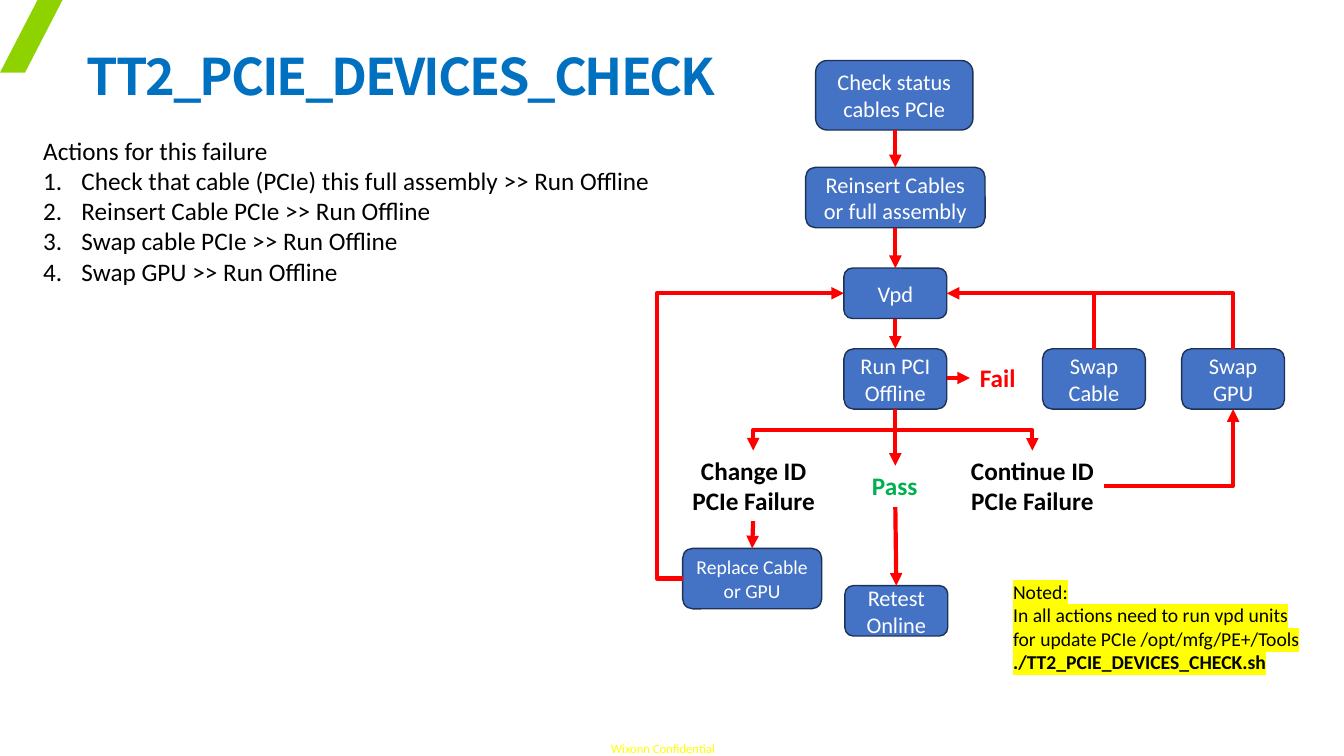
from lxml import etree
from pptx import Presentation
from pptx.dml.color import RGBColor
from pptx.enum.shapes import MSO_CONNECTOR, MSO_SHAPE
from pptx.enum.text import MSO_ANCHOR, PP_ALIGN
from pptx.oxml.ns import qn
from pptx.util import Pt

PX = 9144  # EMU per px, 100 px to the inch
STRAIGHT, ELBOW = MSO_CONNECTOR.STRAIGHT, MSO_CONNECTOR.ELBOW
ROUNDED, PARALLELOGRAM = MSO_SHAPE.ROUNDED_RECTANGLE, MSO_SHAPE.PARALLELOGRAM
LEFT, CENTER = PP_ALIGN.LEFT, PP_ALIGN.CENTER
MIDDLE = MSO_ANCHOR.MIDDLE
TITLE_ONLY = 5
BODY_FONT, TITLE_FONT = "Calibri", "Noto Sans CJK SC"
COLORS = {
    "accent": "8ED300", "title": "0070C0", "black": "000000", "white": "FFFFFF",
    "box": "4472C4", "box_line": "1E3256", "red": "FF0000", "green": "00B050",
    "yellow": "FFFF00",
}

STEPS = [
    ("Check status cables PCIe", (809, 60, 156, 69), 16),
    ("Reinsert Cables or full assembly", (799, 166, 178, 60), 16),
    ("Vpd", (837, 266, 102, 50), 16),
    ("Run PCI Offline", (837, 346, 102, 60), 16),
    ("Swap Cable", (1034, 346, 102, 60), 16),
    ("Swap GPU", (1172, 346, 102, 60), 16),
    ("Replace Cable or GPU", (677, 544, 138, 60), 14),
    ("Retest Online", (838, 581, 102, 50), 16),
]
OUTCOMES = [
    ("Change ID PCIe Failure", (667, 447, 161, 71), "black", CENTER),
    ("Continue ID PCIe Failure", (953, 447, 142, 71), "black", CENTER),
    ("Fail", (962, 355, 66, 40), "red", LEFT),
    ("Pass", (855, 462, 66, 40), "green", LEFT),
]
STRAIGHT_ARROWS = [
    ((888, 129), (888, 166)),
    ((888, 226), (888, 266)),
    ((888, 316), (888, 346)),
    ((888, 406), (888, 462)),
    ((888, 503), (889, 581)),
    ((939, 375), (962, 375)),
    ((747, 517), (746, 544)),
]
ACTIONS = [
    "Check that cable (PCIe) this full assembly >> Run Offline",
    "Reinsert Cable PCIe >> Run Offline",
    "Swap cable PCIe >> Run Offline",
    "Swap GPU >> Run Offline",
]


def color(name):
    return RGBColor.from_string(COLORS[name])


def scale(lengths):
    return [length * PX for length in lengths]


def write(paragraph, text, size=18, ink="black", bold=False, align=LEFT,
          font=BODY_FONT, highlight=None, spacing=None):
    paragraph.alignment = align
    run = paragraph.add_run()
    run.text = text
    run.font.size = Pt(size)
    run.font.bold = bold
    run.font.color.rgb = color(ink)
    run.font.name = font
    properties = run.font._element
    if spacing is not None:
        properties.set("spc", str(round(spacing * 100)))
    if highlight:
        mark = etree.Element(qn("a:highlight"))
        etree.SubElement(mark, qn("a:srgbClr"), val=COLORS[highlight])
        properties.find(qn("a:solidFill")).addnext(mark)


def number(paragraph, indent):
    properties = paragraph._p.get_or_add_pPr()
    properties.set("marL", str(indent * PX))
    properties.set("indent", str(-indent * PX))
    etree.SubElement(properties, qn("a:buFont"), typeface="+mj-lt")
    etree.SubElement(properties, qn("a:buAutoNum"), type="arabicPeriod")


def add_text(slide, box, lines, inset=True):
    """Add a text box from (text, format) pairs and return its paragraphs."""
    frame = slide.shapes.add_textbox(*scale(box)).text_frame
    frame.word_wrap = True
    if not inset:
        frame.margin_left = frame.margin_right = 0
        frame.margin_top = frame.margin_bottom = 0
    for index, (text, style) in enumerate(lines):
        paragraph = frame.add_paragraph() if index else frame.paragraphs[0]
        write(paragraph, text, **style)
    return frame.paragraphs


def add_title(slide, text):
    title = slide.shapes.title
    title.left, title.top, title.width, title.height = scale((76, 38, 1150, 81))
    frame = title.text_frame
    frame.word_wrap = True
    frame.vertical_anchor = MIDDLE
    frame.paragraphs[0].line_spacing = 0.9
    write(frame.paragraphs[0], text, size=36, ink="title", bold=True,
          font=TITLE_FONT, spacing=-1.5)


def add_shape(slide, kind, box, fill, outline=None):
    shape = slide.shapes.add_shape(kind, *scale(box))
    shape.shadow.inherit = False
    shape.fill.solid()
    shape.fill.fore_color.rgb = color(fill)
    if outline:
        shape.line.color.rgb = color(outline)
        shape.line.width = Pt(1)
    else:
        shape.line.fill.background()
    return shape


def add_step(slide, text, box, size):
    frame = add_shape(slide, ROUNDED, box, "box", "box_line").text_frame
    frame.word_wrap = True
    frame.vertical_anchor = MIDDLE
    write(frame.paragraphs[0], text, size=size, ink="white", align=CENTER)


def add_arrow(slide, start, end, kind=STRAIGHT, head=True):
    connector = slide.shapes.add_connector(kind, *scale(start + end))
    connector.line.color.rgb = color("red")
    connector.line.width = Pt(3)
    properties = connector._element.spPr
    if head:
        etree.SubElement(properties.find(qn("a:ln")), qn("a:tailEnd"), type="triangle")
    etree.SubElement(properties, qn("a:effectLst"))
    return connector


def add_elbow(slide, start, end, corners=1, upright=False, bend=None, head=True):
    """Add a bent arrow; upright means that its first leg is vertical."""
    connector = add_arrow(slide, start, end, ELBOW, head)
    properties = connector._element.spPr
    geometry = properties.find(qn("a:prstGeom"))
    geometry.set("prst", f"bentConnector{corners + 1}")
    if bend is not None:
        etree.SubElement(geometry.find(qn("a:avLst")), qn("a:gd"),
                         name="adj1", fmla=f"val {round(bend * 100000)}")
    if upright:
        across, down = end[0] - start[0], end[1] - start[1]
        width, height = abs(down), abs(across)
        connector.left = round((start[0] + end[0] - width) / 2 * PX)
        connector.top = round((start[1] + end[1] - height) / 2 * PX)
        connector.width, connector.height = scale((width, height))
        frame = properties.find(qn("a:xfrm"))
        frame.set("rot", str((90 if down > 0 else 270) * 60000))
        frame.set("flipH", "0")
        frame.set("flipV", "1" if across * down > 0 else "0")


def main():
    presentation = Presentation()
    presentation.slide_width, presentation.slide_height = scale((1333, 750))
    slide = presentation.slides.add_slide(presentation.slide_layouts[TITLE_ONLY])

    add_text(slide, (603, 735, 109, 15),
             [("Wixonn Confidential", {"size": 9, "ink": "yellow", "align": CENTER})],
             inset=False)
    accent = add_shape(slide, PARALLELOGRAM, (0, 0, 62, 72), "accent")
    accent.adjustments[0] = 0.6
    add_title(slide, "TT2_PCIE_DEVICES_CHECK")

    lines = [(text, {}) for text in ["Actions for this failure"] + ACTIONS]
    for paragraph in add_text(slide, (33, 129, 655, 192), lines)[1:]:
        number(paragraph, 38)

    for text, box, size in STEPS:
        add_step(slide, text, box, size)
    for text, box, ink, align in OUTCOMES:
        add_text(slide, box, [(text, {"ink": ink, "bold": True, "align": align})])

    for start, end in STRAIGHT_ARROWS:
        add_arrow(slide, start, end)
    for outcome_x in (747, 1024):
        add_elbow(slide, (888, 406), (outcome_x, 447), corners=2, upright=True)
    add_elbow(slide, (677, 574), (837, 291), corners=2, bend=-0.16)
    add_elbow(slide, (1085, 346), (939, 291), upright=True)
    add_elbow(slide, (1223, 346), (1085, 291), upright=True, head=False)
    add_elbow(slide, (1095, 482), (1223, 406))

    note = {"size": 14, "highlight": "yellow"}
    add_text(slide, (995, 570, 306, 104), [
        ("Noted:", note),
        ("In all actions need to run vpd units for update PCIe /opt/mfg/PE+/Tools", note),
        ("./TT2_PCIE_DEVICES_CHECK.sh", {**note, "bold": True}),
    ])
    presentation.save("out.pptx")


if __name__ == "__main__":
    main()
